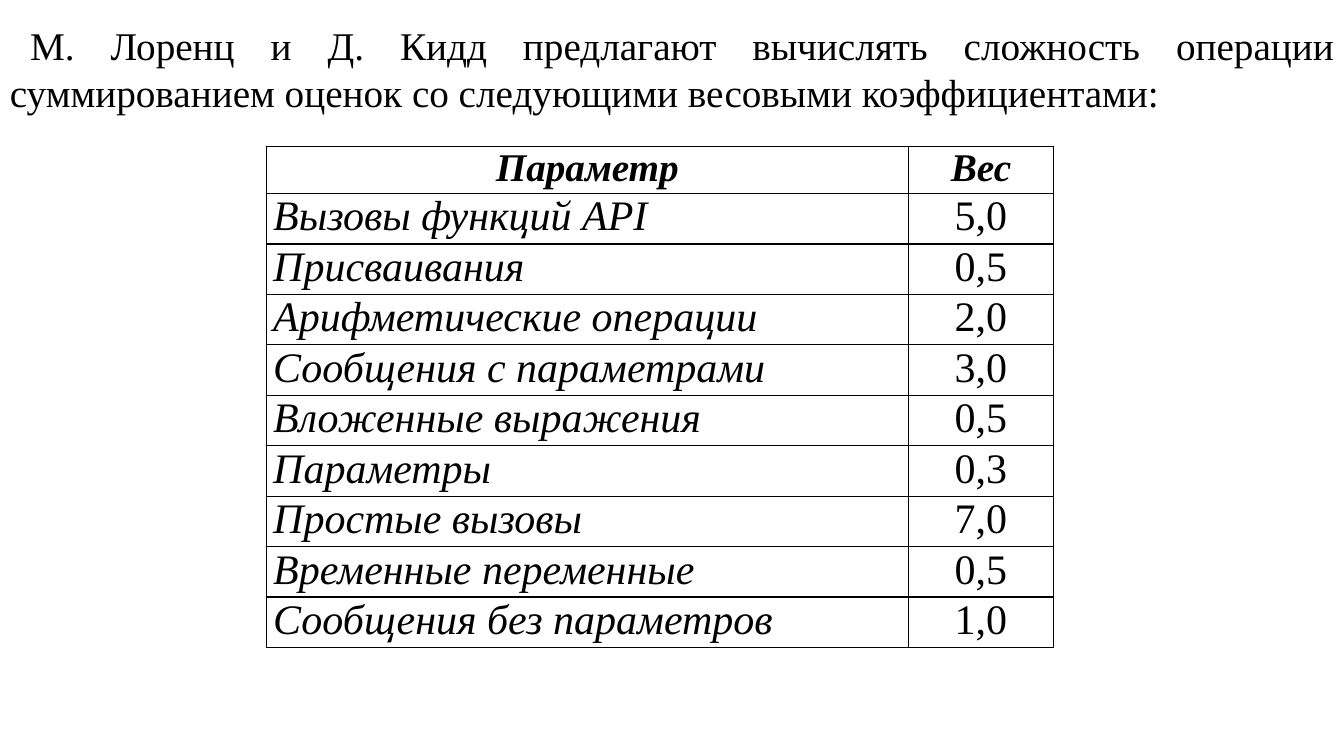
from pptx import Presentation
from pptx.dml.color import RGBColor
from pptx.enum.text import MSO_AUTO_SIZE, PP_ALIGN
from pptx.oxml import parse_xml
from pptx.oxml.ns import nsdecls
from pptx.util import Inches, Pt

BLACK = RGBColor(0x00, 0x00, 0x00)
FONT = "Times New Roman"
HEADER = ("Параметр", "Вес")
WEIGHTS = [
    ("Вызовы функций API", "5,0"),
    ("Присваивания", "0,5"),
    ("Арифметические операции", "2,0"),
    ("Сообщения с параметрами", "3,0"),
    ("Вложенные выражения", "0,5"),
    ("Параметры", "0,3"),
    ("Простые вызовы", "7,0"),
    ("Временные переменные", "0,5"),
    ("Сообщения без параметров", "1,0"),
]


def add_run(p, text, size, bold=False, italic=False):
    r = p.add_run()
    r.text = text
    r.font.name = FONT
    r.font.size = Pt(size)
    r.font.bold = bold
    r.font.italic = italic
    r.font.color.rgb = BLACK


def add_borders(cell):
    tcPr = cell._tc.get_or_add_tcPr()
    for i, side in enumerate(("lnL", "lnR", "lnT", "lnB")):
        tcPr.insert(i, parse_xml(
            f'<a:{side} {nsdecls("a")} w="{Pt(1)}"><a:solidFill>'
            f'<a:srgbClr val="{BLACK}"/></a:solidFill></a:{side}>'))


prs = Presentation()
prs.slide_width, prs.slide_height = Inches(13.33), Inches(7.5)
s = prs.slides.add_slide(prs.slide_layouts[6])

# Introductory sentence
sp = s.shapes.add_textbox(Inches(0), Inches(0.16), Inches(13.33), Inches(1.04))
tf = sp.text_frame
tf.word_wrap = True
tf.auto_size = MSO_AUTO_SIZE.SHAPE_TO_FIT_TEXT
p = tf.paragraphs[0]
p.alignment = PP_ALIGN.JUSTIFY
p._p.get_or_add_pPr().set("indent", str(Inches(0.2)))
add_run(p, "М. Лоренц и Д. Кидд предлагают вычислять сложность операции "
           "суммированием оценок со следующими весовыми коэффициентами:", 28)

# Table of weights
rows = [HEADER] + WEIGHTS
table = s.shapes.add_table(len(rows), 2, Inches(2.64), Inches(1.45),
                           Inches(7.81), Inches(4.97)).table
table.horz_banding = False
table.columns[0].width = Inches(6.37)
table.columns[1].width = Inches(1.44)
for i, row in enumerate(rows):
    is_header = i == 0
    table.rows[i].height = Inches(0.47 if is_header else 0.5)
    for j, text in enumerate(row):
        cell = table.cell(i, j)
        cell.fill.background()
        cell.margin_left = cell.margin_right = Inches(0.07)
        cell.margin_top = cell.margin_bottom = Inches(0)
        add_borders(cell)
        p = cell.text_frame.paragraphs[0]
        p.alignment = PP_ALIGN.CENTER if is_header or j == 1 else PP_ALIGN.LEFT
        add_run(p, text, 28 if is_header else 30, bold=is_header,
                italic=is_header or j == 0)

prs.save("out.pptx")
